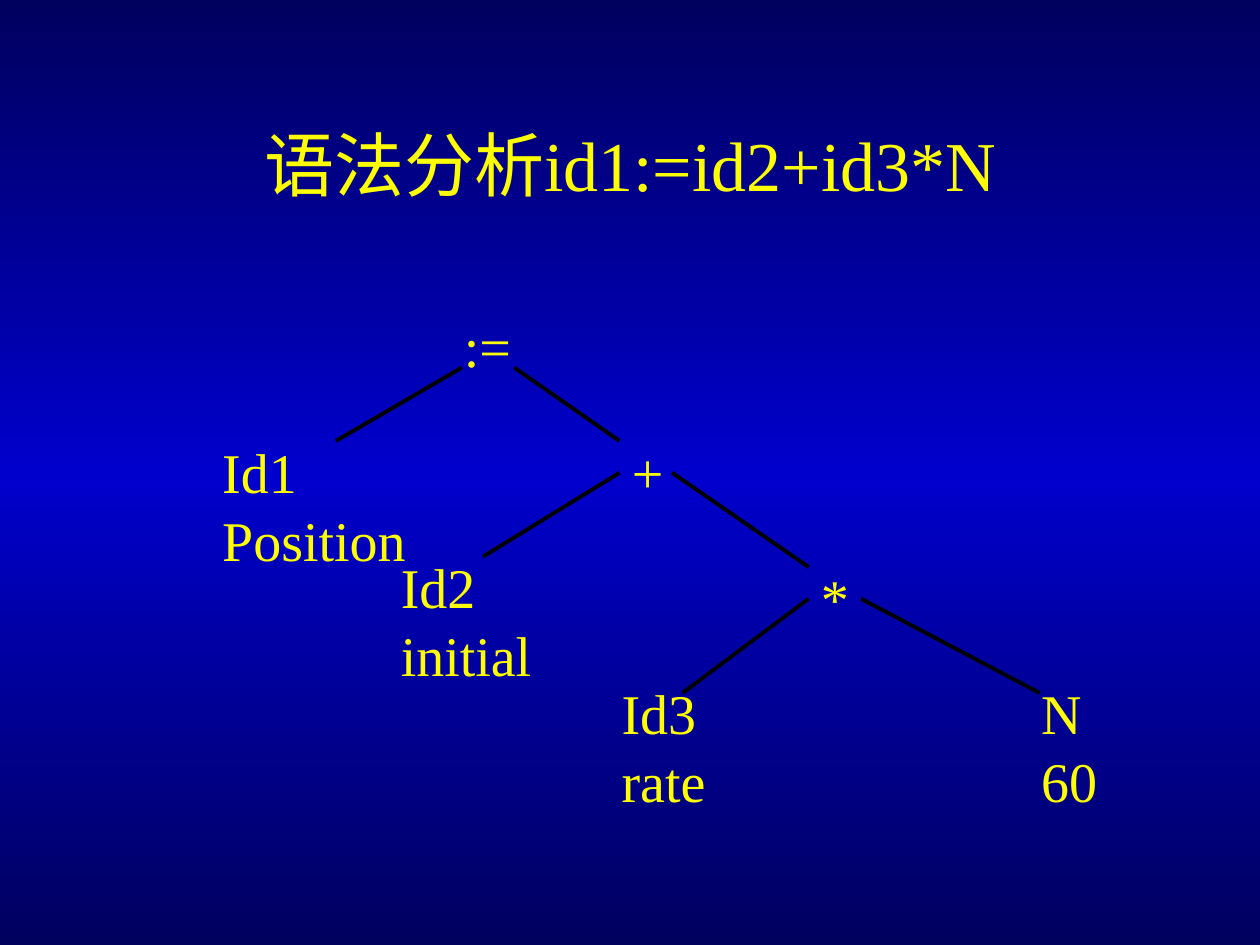
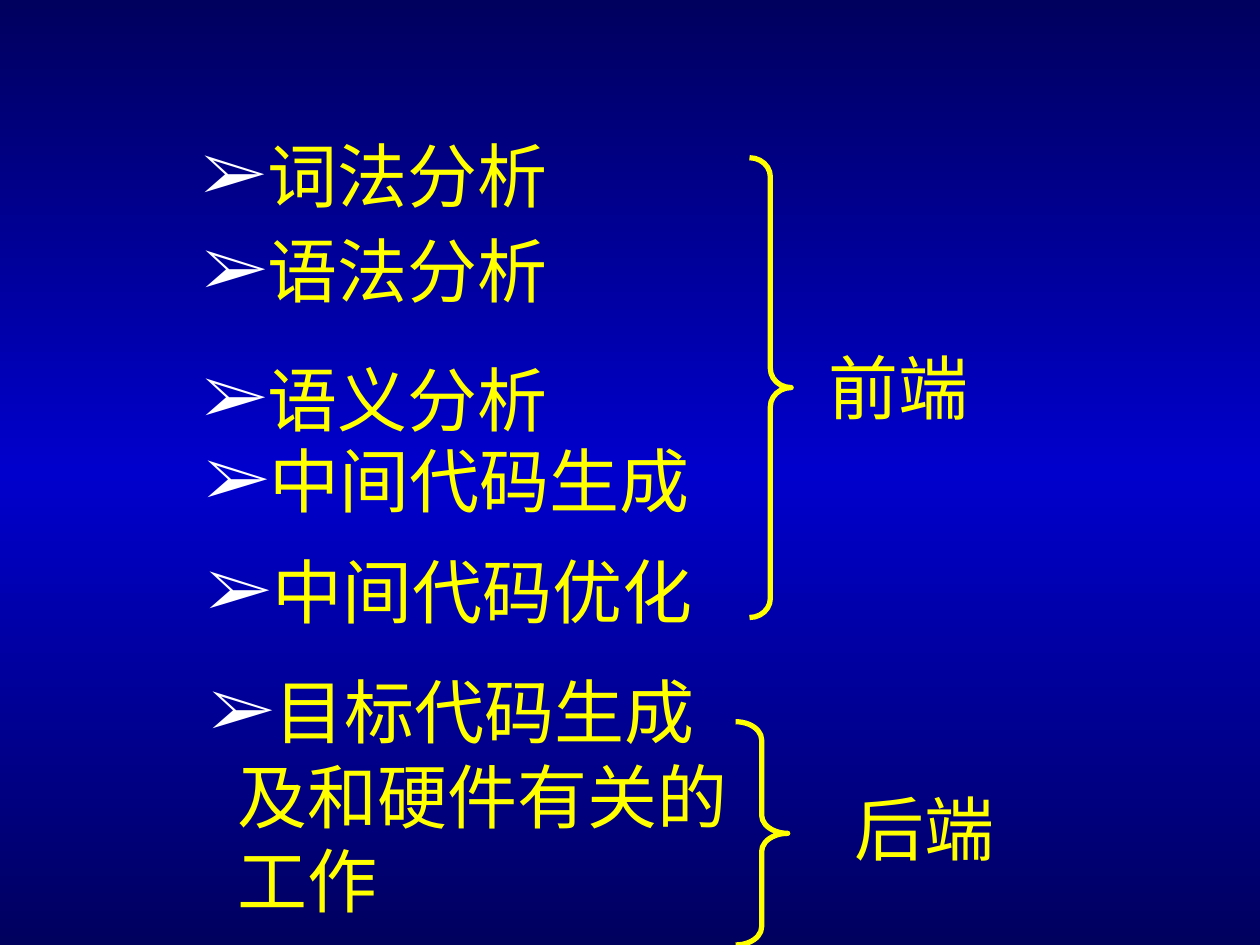
"""Build two compiler slides: a syntax tree, and the phases of front and back end."""
from copy import deepcopy
from dataclasses import dataclass

from lxml import etree
from pptx import Presentation
from pptx import util as u
from pptx.dml.color import RGBColor
from pptx.enum import shapes, text
from pptx.oxml.ns import qn


@dataclass(frozen=True)
class Theme:
    ink: str = "FFFF00"
    mark: str = "FFFFFF"
    edge: str = "000000"
    stops: tuple = ((0, "00005E"), (0.5, "0000CC"), (1, "00005E"))
    serif: str = "Times New Roman"
    sans: str = "Noto Sans CJK SC"
    node: int = 32
    big: int = 40
    lead: float = 1.21
    gap: int = 25
    hang: float = 0.55


T = Theme()

TITLE = ("语法分析id1:=id2+id3*N", (1.91, 1.7, 21.59, 3.18))
NODES = [
    (":=", (9.1, 6.14, 1.7, 1.63)),
    ("+", (12.49, 8.68, 1.7, 1.63)),
    ("N 60", (20.74, 13.55, 1.7, 2.96)),
    ("*", (16.3, 11.22, 1.7, 1.63)),
    ("Id1 Position", (4.23, 8.68, 4.23, 2.96)),
    ("Id2 initial", (7.83, 11.01, 3.18, 2.96)),
    ("Id3 rate", (12.28, 13.55, 2.33, 2.96)),
]
EDGES = [
    (9.31, 7.41, 6.77, 8.89),
    (10.37, 7.41, 12.49, 8.89),
    (12.49, 9.53, 9.74, 11.22),
    (13.55, 9.53, 16.3, 11.43),
    (17.36, 12.07, 20.96, 13.97),
    (16.3, 12.07, 13.76, 13.97),
]
PHASES = [
    (["词法分析"], (3.84, 2.54, 11.48, 1.96)),
    (["语法分析", "语义分析"], (3.84, 4.45, 11.48, 7.11)),
    (["中间代码生成"], (3.89, 8.69, 11.48, 1.96)),
    (["中间代码优化"], (3.94, 10.92, 11.48, 1.96)),
    (["目标代码生成及和硬件有关的工作"], (3.99, 13.34, 11.3, 5.33)),
]
ENDS = [
    ("前端", (16.46, 6.81, 3.81, 1.96), (15.11, 3.18, 0.84, 9.27), 0.46),
    ("后端", (16.97, 15.7, 3.33, 1.96), (14.83, 14.55, 1.05, 4.5), 0.35),
]


def cms(place):
    return [u.Cm(n) for n in place]


def move(shape, place):
    shape.left, shape.top, shape.width, shape.height = cms(place)


def style(para, size, face):
    for run in para.runs:
        font = run.font
        font.size = u.Pt(size)
        font.color.rgb = RGBColor.from_string(T.ink)
        font.name = face
        etree.SubElement(run._r.get_or_add_rPr(), qn("a:ea"), typeface=T.sans)


def bullet(para):
    props = para._p.get_or_add_pPr()
    hang = u.Cm(T.hang)
    props.set("marL", str(hang))
    props.set("indent", str(-hang))
    tint = etree.SubElement(props, qn("a:buClr"))
    etree.SubElement(tint, qn("a:srgbClr"), val=T.mark)
    etree.SubElement(props, qn("a:buFont"), typeface=T.serif)
    etree.SubElement(props, qn("a:buChar"), char="➢")


def write(shape, lines, size, face, marked=False):
    frame = shape.text_frame
    frame.text = "\n".join(lines)
    frame.word_wrap = True
    frame.auto_size = text.MSO_AUTO_SIZE.NONE
    for i, para in enumerate(frame.paragraphs):
        para.line_spacing = u.Pt(size * T.lead)
        para.space_before = u.Pt(T.gap if i else 0)
        if marked:
            bullet(para)
        style(para, size, face)


def label(slide, words, place, size):
    write(slide.shapes.add_textbox(*cms(place)), [words], size, T.serif)


def stroke(line, tint, width):
    line.color.rgb = RGBColor.from_string(tint)
    line.width = u.Pt(width)


def paint(master):
    fill = master.background.fill
    fill.gradient()
    fill.gradient_angle = 270
    stops = master.element.find(".//" + qn("a:gsLst"))
    stops.append(deepcopy(stops[-1]))
    for stop, (spot, tint) in zip(fill.gradient_stops, T.stops):
        stop.position = spot
        stop.color.rgb = RGBColor.from_string(tint)


def tree(deck):
    slide = deck.slides.add_slide(deck.slide_layouts[5])
    title = slide.shapes.title
    words, place = TITLE
    move(title, place)
    title.text_frame.text = words
    title.text_frame.vertical_anchor = text.MSO_ANCHOR.MIDDLE
    para = title.text_frame.paragraphs[0]
    para.alignment = text.PP_ALIGN.CENTER
    style(para, T.big, T.serif)
    for words, place in NODES:
        label(slide, words, place, T.node)
    for ends in EDGES:
        edge = slide.shapes.add_connector(shapes.MSO_CONNECTOR.STRAIGHT, *cms(ends))
        stroke(edge.line, T.edge, 2.25)
        etree.SubElement(edge._element.spPr, qn("a:effectLst"))


def phases(deck):
    slide = deck.slides.add_slide(deck.slide_layouts[1])
    title, body = slide.placeholders
    title.element.getparent().remove(title.element)
    for lines, place in PHASES:
        if len(lines) > 1:
            box = body
            move(box, place)
        else:
            box = slide.shapes.add_textbox(*cms(place))
        write(box, lines, T.big, T.sans, marked=True)
    for words, place, span, bend in ENDS:
        brace = slide.shapes.add_shape(shapes.MSO_SHAPE.RIGHT_BRACE, *cms(span))
        brace.adjustments[0] = bend
        brace.shadow.inherit = False
        brace.fill.background()
        stroke(brace.line, T.ink, 3)
        label(slide, words, place, T.big)


def main():
    deck = Presentation()
    deck.slide_width, deck.slide_height = u.Cm(25.4), u.Cm(19.05)
    paint(deck.slide_master)
    tree(deck)
    phases(deck)
    deck.save("out.pptx")


if __name__ == "__main__":
    main()
